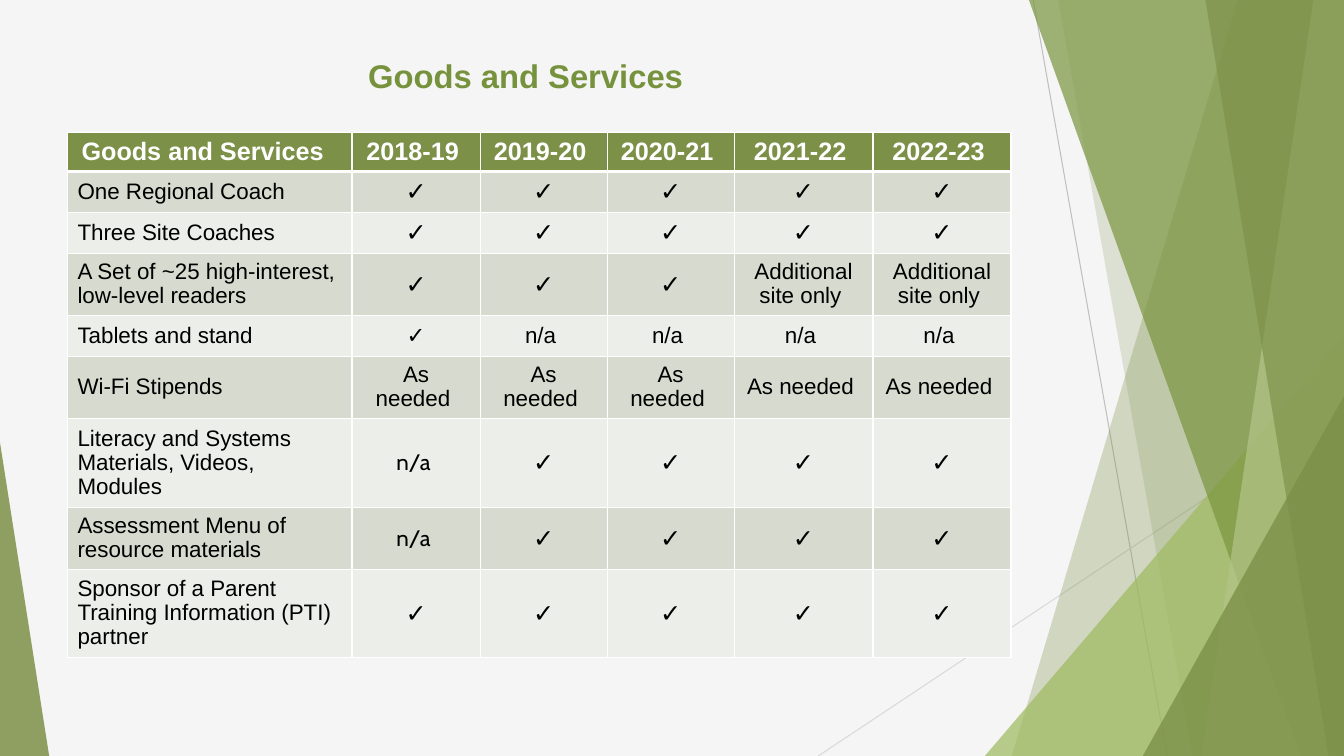
from lxml.etree import SubElement
from pptx import Presentation
from pptx.dml.color import RGBColor
from pptx.enum.shapes import MSO_CONNECTOR as Connector, MSO_SHAPE as Shape
from pptx.enum.text import MSO_ANCHOR as Anchor, PP_ALIGN as Align
from pptx.oxml.ns import qn
from pptx.util import Cm, Pt

BACKGROUND = RGBColor(0xF5, 0xF5, 0xF5)
WHITE = RGBColor(0xFF, 0xFF, 0xFF)
BLACK = RGBColor(0, 0, 0)
TITLE_GREEN = RGBColor(0x76, 0x92, 0x3C)
OLIVE = RGBColor(0x7C, 0x90, 0x48)
LEAF = RGBColor(0x7A, 0x95, 0x40)
LIME = RGBColor(0x9F, 0xBB, 0x60)
PALE_LIME = RGBColor(0xB4, 0xC4, 0x89)
ODD_BAND = RGBColor(0xD7, 0xDB, 0xCF)
EVEN_BAND = RGBColor(0xEC, 0xEE, 0xE9)
GREY = RGBColor(0xBF, 0xBF, 0xBF)
LIGHT_GREY = RGBColor(0xD9, 0xD9, 0xD9)

WIDTH, HEIGHT = 33.87, 19.05
TITLE = "Goods and Services"
CHECK, NONE, NEEDED, EXTRA = "✓", "n/a", "As needed", "Additional site only"
TABLETS = "Tablets and stand"
YEARS = ["2018-19", "2019-20", "2020-21", "2021-22", "2022-23"]
SERVICES = [
    (0.97, "Goods and Services", YEARS),
    (1.03, "One Regional Coach", [CHECK] * 5),
    (1.03, "Three Site Coaches", [CHECK] * 5),
    (1.51, "A Set of ~25 high-interest, low-level readers", [CHECK] * 3 + [EXTRA] * 2),
    (1.03, TABLETS, [CHECK] + [NONE] * 4),
    (1.51, "Wi-Fi Stipends", [NEEDED] * 5),
    (2.14, "Literacy and Systems Materials, Videos, Modules", [NONE] + [CHECK] * 4),
    (1.51, "Assessment Menu of resource materials", [NONE] + [CHECK] * 4),
    (2.14, "Sponsor of a Parent Training Information (PTI) partner", [CHECK] * 5),
]
COLUMN_WIDTHS = [7.17, 3.23, 3.2, 3.2, 3.5, 3.48]
TRAILING_SPACE = chr(160)

RAYS = [
    (26.04, 0, 29.41, HEIGHT, GREY),
    (WIDTH, 10.24, 20.62, HEIGHT, LIGHT_GREY),
]
FACETS = [
    ("beam", (31.19, 25.5), OLIVE, 30),
    ("beam", (26.67, 30.05), OLIVE, 20),
    ("right peak", (24.82, 8.46, 9.05), LIME, 72),
    ("beam", (25.93, 32.79), LEAF, 70),
    ("beam", (33.1, 30.28), PALE_LIME, 70),
    ("beam", (30.38, 33.48), OLIVE, 65),
    ("right peak", (28.8, 9.98, 5.07), OLIVE, 80),
    ("left peak", (0, 11.15, 1.24), OLIVE, 85),
]


def write(frame, text, size=16, font="Arial", color=BLACK, bold=False,
          align=Align.CENTER, spacing=0.97):
    paragraph = frame.paragraphs[0]
    paragraph.alignment = align
    paragraph.line_spacing = spacing
    run = paragraph.add_run()
    run.text = text
    run.font.size = Pt(size)
    run.font.name = font
    run.font.bold = bold
    run.font.color.rgb = color


def add_ray(shapes, x1, y1, x2, y2, color):
    ray = shapes.add_connector(Connector.STRAIGHT, Cm(x1), Cm(y1), Cm(x2), Cm(y2))
    ray.line.color.rgb = color
    ray.line.width = Pt(0.75)
    SubElement(ray._element.spPr, qn("a:effectLst"))


def add_facet(shapes, kind, place, color, opacity):
    if kind == "beam":
        top_x, bottom_x = place
        outline = shapes.build_freeform(Cm(top_x), Cm(0))
        corners = [(WIDTH, 0), (WIDTH, HEIGHT), (bottom_x, HEIGHT)]
        outline.add_line_segments([(Cm(x), Cm(y)) for x, y in corners], close=True)
        facet = outline.convert_to_shape()
    else:
        left, top, width = place
        facet = shapes.add_shape(Shape.ISOSCELES_TRIANGLE, Cm(left), Cm(top),
                                 Cm(width), Cm(HEIGHT - top))
        facet.adjustments[0] = 1 if kind == "right peak" else 0
    facet.shadow.inherit = False
    facet.line.fill.background()
    facet.fill.solid()
    facet.fill.fore_color.rgb = color
    tint = facet._element.spPr.find(qn("a:solidFill"))[0]
    SubElement(tint, qn("a:alpha"), val=str(opacity * 1000))


def style_cell(cell, fill, bottom_width):
    properties = cell._tc.get_or_add_tcPr()
    for side, width in (("L", 1), ("R", 1), ("T", 1), ("B", bottom_width)):
        border = SubElement(properties, qn(f"a:ln{side}"), w=str(Pt(width)))
        SubElement(SubElement(border, qn("a:solidFill")), qn("a:srgbClr"), val=str(WHITE))
    cell.fill.solid()
    cell.fill.fore_color.rgb = fill
    cell.vertical_anchor = Anchor.MIDDLE


def fill_header(cell, text, column):
    style_cell(cell, OLIVE, 3)
    write(cell.text_frame, text + TRAILING_SPACE * (1 if column else 2),
          size=18, color=WHITE, bold=True)


def fill_service(cell, text, row, column, service):
    style_cell(cell, ODD_BAND if row % 2 else EVEN_BAND, 1)
    if text == CHECK:
        write(cell.text_frame, text, size=16 if service == TABLETS else 18, font="Cabin")
    else:
        write(cell.text_frame, text + TRAILING_SPACE,
              font="Cabin" if text == NONE and column == 1 else "Arial",
              align=Align.CENTER if column else Align.LEFT)


def add_services(shapes):
    heights = [height for height, _, _ in SERVICES]
    services = shapes.add_table(len(SERVICES), len(COLUMN_WIDTHS), Cm(1.7), Cm(3.33),
                                Cm(sum(COLUMN_WIDTHS)), Cm(sum(heights))).table
    for column, width in enumerate(COLUMN_WIDTHS):
        services.columns[column].width = Cm(width)
    for row, (height, service, years) in enumerate(SERVICES):
        services.rows[row].height = Cm(height)
        for column, text in enumerate([service, *years]):
            cell = services.cell(row, column)
            if row == 0:
                fill_header(cell, text, column)
            else:
                fill_service(cell, text, row, column, service)


def main():
    deck = Presentation()
    deck.slide_width, deck.slide_height = Cm(WIDTH), Cm(HEIGHT)
    slide = deck.slides.add_slide(deck.slide_layouts[6])
    slide.background.fill.solid()
    slide.background.fill.fore_color.rgb = BACKGROUND
    for ray in RAYS:
        add_ray(slide.shapes, *ray)
    for facet in FACETS:
        add_facet(slide.shapes, *facet)
    title = slide.shapes.add_textbox(Cm(8.71), Cm(1.19), Cm(9.07), Cm(1.42)).text_frame
    title.word_wrap = True
    title.vertical_anchor = Anchor.MIDDLE
    write(title, TITLE, size=23.4, color=TITLE_GREEN, bold=True, spacing=1.0)
    add_services(slide.shapes)
    deck.save("out.pptx")


if __name__ == "__main__":
    main()
